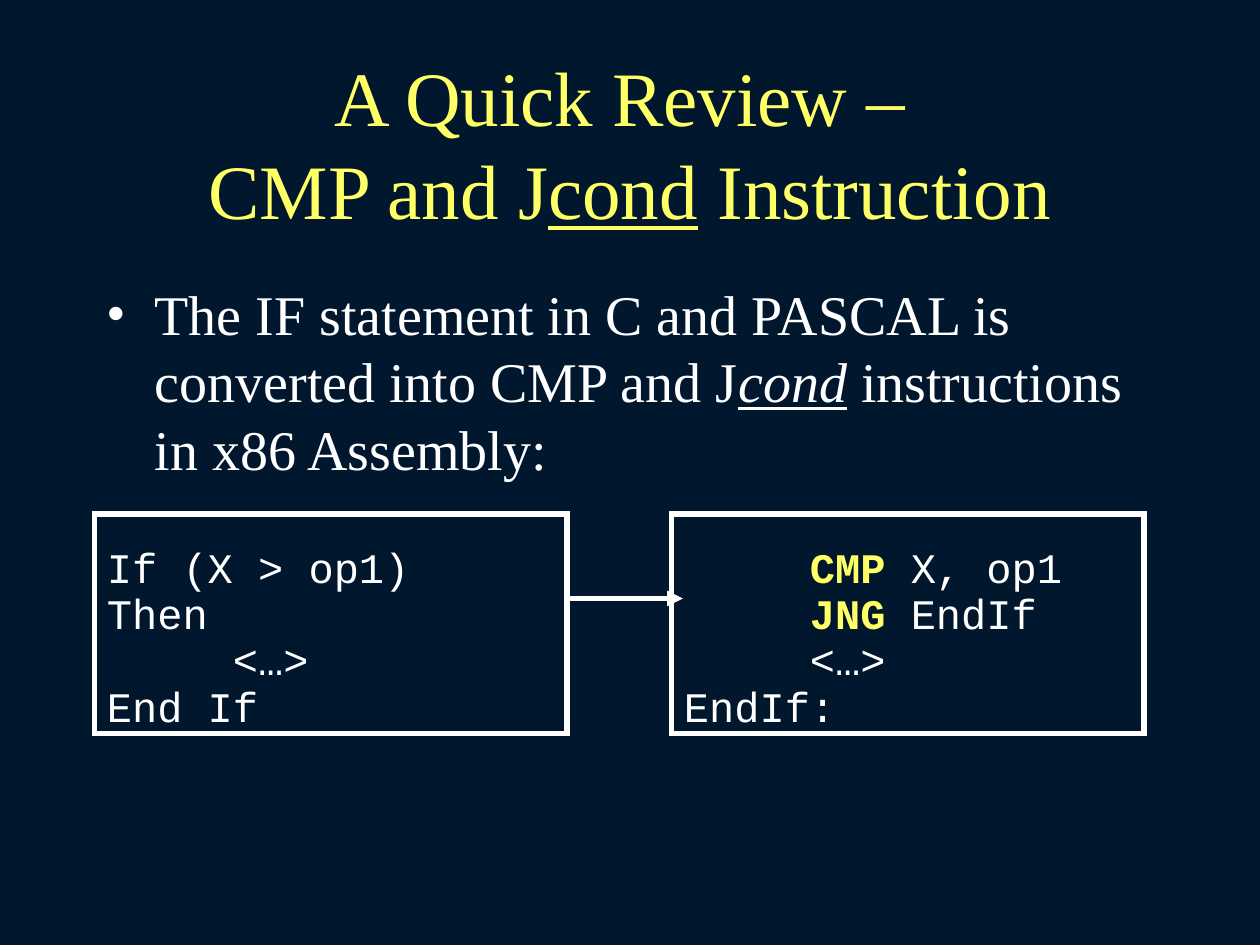
from lxml.etree import SubElement
from pptx import Presentation
from pptx.dml.color import RGBColor
from pptx.enum.shapes import MSO_CONNECTOR, MSO_SHAPE
from pptx.enum.text import MSO_ANCHOR, MSO_AUTO_SIZE, PP_ALIGN
from pptx.oxml.ns import qn
from pptx.util import Inches, Pt

NAVY, YELLOW, WHITE = "00172E", "FFFF66", "FFFFFF"
SERIF, MONO = "Times New Roman", "Courier New"


def color(value):
    """Return the colour for a hex string."""
    return RGBColor.from_string(value)


def add_text(paragraph, text, size, font, fill, bold=False, italic=False, underline=False):
    """Append a formatted run to a paragraph."""
    run = paragraph.add_run()
    run.text = text
    run.font.size = Pt(size)
    run.font.name = font
    run.font.color.rgb = color(fill)
    run.font.bold, run.font.italic, run.font.underline = bold, italic, underline


def prepare_frame(shape, anchor, top_inset=0.05):
    """Set wrapping, anchor and insets, and return the text frame."""
    frame = shape.text_frame
    frame.word_wrap = True
    frame.auto_size = MSO_AUTO_SIZE.NONE
    frame.vertical_anchor = anchor
    frame.margin_left = frame.margin_right = Inches(0.1)
    frame.margin_top, frame.margin_bottom = Inches(top_inset), Inches(0.05)
    return frame


def place_title(slide, left, top, width, height):
    """Place the two-line title in its placeholder."""
    title = slide.shapes.title
    title.left, title.top = Inches(left), Inches(top)
    title.width, title.height = Inches(width), Inches(height)
    paragraph = prepare_frame(title, MSO_ANCHOR.MIDDLE).paragraphs[0]
    paragraph.alignment = PP_ALIGN.CENTER
    style = dict(size=44, font=SERIF, fill=YELLOW)
    add_text(paragraph, "A Quick Review – ", **style)
    paragraph.add_line_break()
    add_text(paragraph, "CMP and J", **style)
    add_text(paragraph, "cond", underline=True, **style)
    add_text(paragraph, " Instruction", **style)


def add_statement(slide, left, top, width, height):
    """Add the bulleted statement."""
    box = slide.shapes.add_textbox(Inches(left), Inches(top), Inches(width), Inches(height))
    paragraph = prepare_frame(box, MSO_ANCHOR.TOP).paragraphs[0]
    properties = paragraph._p.get_or_add_pPr()
    properties.set("marL", str(Inches(0.38)))
    properties.set("indent", str(-Inches(0.38)))
    SubElement(properties, qn("a:buFont"), typeface=SERIF)
    SubElement(properties, qn("a:buChar"), char="•")
    style = dict(size=32, font=SERIF, fill=WHITE)
    add_text(paragraph, "The IF statement in C and PASCAL is converted into CMP and J", **style)
    add_text(paragraph, "cond", italic=True, underline=True, **style)
    add_text(paragraph, " instructions in x86 Assembly:", **style)


def add_code_box(slide, left, top, width, height, lines):
    """Add an outlined box of code, each line a list of text and colour pairs."""
    box = slide.shapes.add_shape(
        MSO_SHAPE.RECTANGLE, Inches(left), Inches(top), Inches(width), Inches(height))
    box.shadow.inherit = False
    box.fill.background()
    box.line.color.rgb = color(WHITE)
    box.line.width = Pt(3)
    SubElement(box.line._get_or_add_ln(), qn("a:miter"), lim="800000")
    frame = prepare_frame(box, MSO_ANCHOR.TOP, top_inset=0.42)
    for index, line in enumerate(lines):
        paragraph = frame.add_paragraph() if index else frame.paragraphs[0]
        tabs = SubElement(paragraph._p.get_or_add_pPr(), qn("a:tabLst"))
        SubElement(tabs, qn("a:tab"), pos=str(Inches(1)), algn="l")
        paragraph.alignment = PP_ALIGN.LEFT
        paragraph.line_spacing = 0.4
        paragraph.space_before = Pt(15 if index else 0)
        for text, fill in line:
            add_text(paragraph, text, 24, MONO, fill, bold=fill == YELLOW)


def add_arrow(slide, start, end, height):
    """Add a horizontal arrow."""
    arrow = slide.shapes.add_connector(
        MSO_CONNECTOR.STRAIGHT, Inches(start), Inches(height), Inches(end), Inches(height))
    arrow.line.color.rgb = color(WHITE)
    arrow.line.width = Pt(3)
    SubElement(arrow.line._get_or_add_ln(), qn("a:tailEnd"), type="triangle")
    SubElement(arrow._element.spPr, qn("a:effectLst"))


def main():
    """Build and save the slide."""
    presentation = Presentation()
    presentation.slide_width, presentation.slide_height = Inches(10), Inches(7.5)
    slide = presentation.slides.add_slide(presentation.slide_layouts[5])
    slide.background.fill.solid()
    slide.background.fill.fore_color.rgb = color(NAVY)
    place_title(slide, 0.75, 0.67, 8.5, 0.92)
    add_statement(slide, 0.75, 2.17, 8.5, 1.8)
    assembly = [
        [("\t", WHITE), ("CMP", YELLOW), (" X, op1", WHITE)],
        [("\t", WHITE), ("JNG", YELLOW), (" EndIf", WHITE)],
        [("\t<…>", WHITE)],
        [("EndIf:", WHITE)],
    ]
    condition = [[(text, WHITE)] for text in ("If (X > op1)", "Then", "\t<…>", "End If")]
    for left, lines in ((5.33, assembly), (0.75, condition)):
        add_code_box(slide, left, 4.08, 3.75, 1.74, lines)
    add_arrow(slide, 4.5, 5.42, 4.75)
    presentation.save("out.pptx")


if __name__ == "__main__":
    main()
